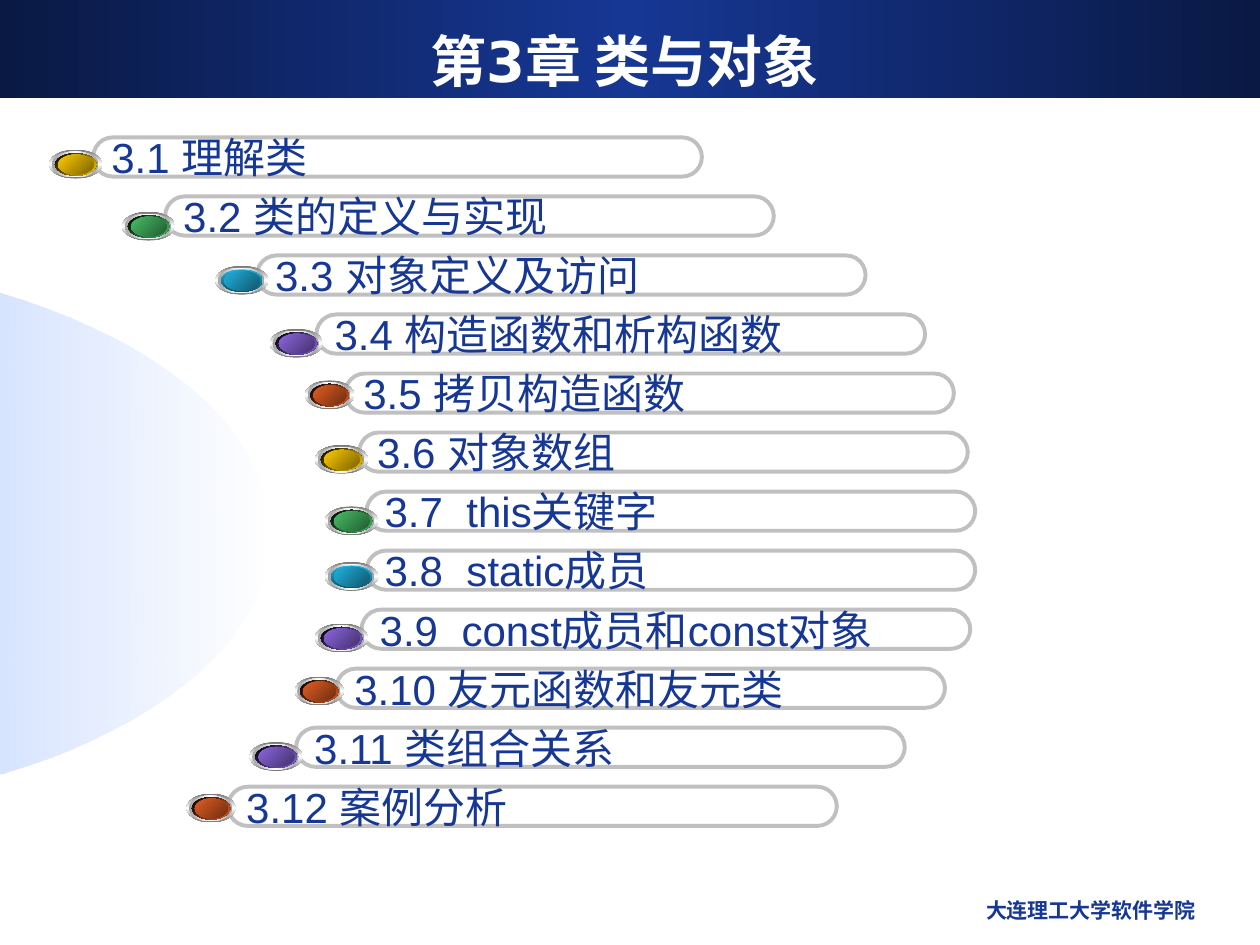
from math import cos, pi, sin

from pptx import Presentation
from pptx.dml.color import RGBColor
from pptx.enum.shapes import MSO_SHAPE
from pptx.enum.text import MSO_ANCHOR, PP_ALIGN
from pptx.oxml import parse_xml
from pptx.oxml.ns import nsdecls, qn
from pptx.util import Cm, Pt

NAVY = "163794"
YELLOW = ("FFCC00", "7C6300")
GREEN = ("48BE67", "235C32")
BLUE = ("21B3E1", "10576D")
PURPLE = ("8D67E1", "45326D")
ORANGE = ("E35E23", "6E2E11")

# text, pill left, button left, button top (cm), button colours
SECTIONS = [
    ("3.1 理解类", 1.88, 0.99, 3.02, YELLOW),
    ("3.2 类的定义与实现", 3.33, 2.46, 4.27, GREEN),
    ("3.3 对象定义及访问", 5.18, 4.34, 5.36, BLUE),
    ("3.4 构造函数和析构函数", 6.38, 5.44, 6.63, PURPLE),
    ("3.5 拷贝构造函数", 6.96, 6.15, 7.67, ORANGE),
    ("3.6 对象数组", 7.24, 6.35, 8.97, YELLOW),
    ("3.7\tthis关键字", 7.39, 6.55, 10.21, GREEN),
    ("3.8\tstatic成员", 7.39, 6.55, 11.33, BLUE),
    ("3.9\tconst成员和const对象", 7.29, 6.35, 12.57, PURPLE),
    ("3.10 友元函数和友元类", 6.78, 5.94, 13.64, ORANGE),
    ("3.11 类组合关系", 5.97, 5.03, 14.96, PURPLE),
    ("3.12 案例分析", 4.6, 3.76, 16.0, ORANGE),
]
FIRST_TOP, ROW_PITCH = 2.77, 1.19


def rgb(color):
    return RGBColor.from_string(color)


def fill_gradient(sp, stops, angle):
    """Fill with (position %, colour, opacity %) stops; angle runs clockwise."""
    sp.shadow.inherit = False
    sp.line.fill.background()
    sp.fill.gradient()
    gs = "".join(
        f'<a:gs pos="{pos * 1000}"><a:srgbClr val="{color}">'
        f'<a:alpha val="{alpha * 1000}"/></a:srgbClr></a:gs>'
        for pos, color, alpha in stops)
    spPr = sp._element.spPr
    spPr.replace(spPr.find(qn("a:gradFill")), parse_xml(
        f'<a:gradFill {nsdecls("a")} rotWithShape="1"><a:gsLst>{gs}</a:gsLst>'
        f'<a:lin ang="{angle * 60000}" scaled="0"/></a:gradFill>'))


def even_stops(*colors):
    return [(100 * i // (len(colors) - 1), c, 100) for i, c in enumerate(colors)]


def style_text(p, text, size, color, font, bold=False):
    p.text = text
    p.font.size = Pt(size)
    p.font.name = font
    p.font.bold = bold
    p.font.color.rgb = rgb(color)


def add_label(slide, box, text, size, color, align, anchor):
    tf = slide.shapes.add_textbox(*map(Cm, box)).text_frame
    tf.word_wrap = True
    tf.vertical_anchor = anchor
    p = tf.paragraphs[0]
    p.alignment = align
    style_text(p, text, size, color, "DejaVu Sans", bold=True)


def add_header(slide, left, top, width, height):
    band = slide.shapes.add_shape(
        MSO_SHAPE.RECTANGLE, Cm(left), Cm(top), Cm(width), Cm(height))
    fill_gradient(band, even_stops("0A1944", NAVY, "0A1944"), 0)
    add_label(slide, (left + 0.84, top + 0.43, 23.5, 1.57), "第3章 类与对象",
              32, "FFFFFF", PP_ALIGN.CENTER, MSO_ANCHOR.MIDDLE)


def add_half_ellipse(slide, left, top, width, height, steps=60):
    """Right half of an ellipse, its flat side at the left of the box."""
    points = []
    for i in range(steps + 1):
        angle = pi * (i / steps - 0.5)
        points.append((Cm(left + width * cos(angle)),
                       Cm(top + height / 2 * (1 + sin(angle)))))
    builder = slide.shapes.build_freeform(*points[0])
    builder.add_line_segments(points[1:], close=True)
    fill_gradient(builder.convert_to_shape(),
                  [(0, "6699FF", 56), (100, "FFFFFF", 48)], 0)


def add_pill(slide, left, top, width, height, text):
    sp = slide.shapes.add_shape(
        MSO_SHAPE.ROUNDED_RECTANGLE, Cm(left), Cm(top), Cm(width), Cm(height))
    sp.adjustments[0] = 0.5
    sp.shadow.inherit = False
    sp.fill.background()
    sp.line.color.rgb = rgb("C0C0C0")
    sp.line.width = Pt(2.25)
    tf = sp.text_frame
    tf.word_wrap = False
    tf.vertical_anchor = MSO_ANCHOR.MIDDLE
    p = tf.paragraphs[0]
    p.alignment = PP_ALIGN.LEFT
    if "\t" in text:
        p._p.get_or_add_pPr().append(parse_xml(
            f'<a:tabLst {nsdecls("a")}><a:tab pos="{Cm(1.65)}" algn="l"/></a:tabLst>'))
    style_text(p, text, 24, NAVY, "Arial")


def add_button(slide, left, top, width, height, colors):
    """Metal rings around a coloured face, each layer a share of the box."""
    light, dark = colors
    rim = ((light, "0F5368"), 90) if colors == BLUE else (("000000", light), 45)
    layers = [
        (0, 0, 1, 1, ("767676", "FFFFFF", "767676"), 90),
        (0.05, 0.06, 0.88, 0.9, ("A2A2A2", "FFFFFF", "A2A2A2"), 0),
        (0.11, 0.12, 0.78, 0.78, *rim),
        (0.17, 0.17, 0.67, 0.69, (light, dark), 45),
    ]
    group = slide.shapes.add_group_shape()
    for x, y, w, h, stops, angle in layers:
        ring = group.shapes.add_shape(
            MSO_SHAPE.OVAL, Cm(left + x * width), Cm(top + y * height),
            Cm(w * width), Cm(h * height))
        fill_gradient(ring, even_stops(*stops), angle)


def main():
    prs = Presentation()
    prs.slide_width, prs.slide_height = Cm(25.4), Cm(19.05)
    slide = prs.slides.add_slide(prs.slide_layouts[6])
    add_header(slide, 0, 0, 25.4, 1.98)
    add_label(slide, (16.31, 17.96, 8.05, 0.89), "大连理工大学软件学院",
              12, NAVY, PP_ALIGN.RIGHT, MSO_ANCHOR.TOP)
    add_half_ellipse(slide, -5.46, 5.16, 10.92, 11.2)
    for row, (text, pill_left, left, top, colors) in enumerate(SECTIONS):
        add_pill(slide, pill_left, FIRST_TOP + row * ROW_PITCH, 12.27, 0.79, text)
        add_button(slide, left, top, 0.99 if colors == ORANGE else 1.07, 0.58, colors)
    prs.save("out.pptx")


if __name__ == "__main__":
    main()
